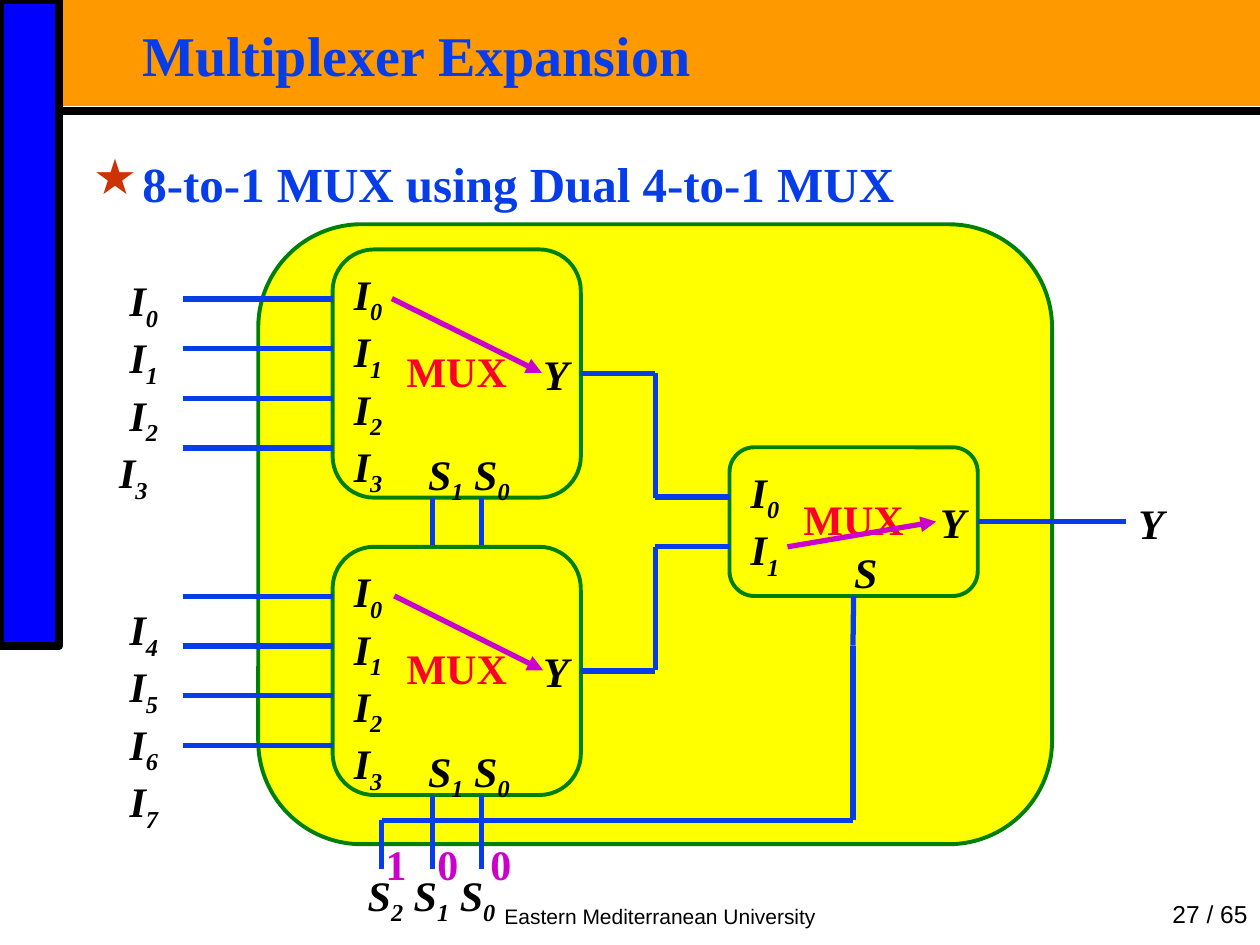
"""Builds the slide on expanding multiplexers from smaller ones."""
from dataclasses import dataclass

from lxml import etree
from pptx import Presentation
from pptx import util as u
from pptx.dml.color import RGBColor
from pptx.enum import shapes, text
from pptx.oxml import ns

COLORS = {
    "orange": "FF9900", "band": "0000FF", "black": "000000", "blue": "063DE8",
    "yellow": "FFFF00", "green": "008000", "red": "FC0128", "purple": "CC00CC",
    "star": "CC3300",
}
SERIF, SANS = "Times New Roman", "Arial"
MUX_WIDTH = 1.97
PITCH = MUX_WIDTH / 5
STUB = 1.5 * PITCH


@dataclass(frozen=True)
class Mux:
    """A multiplexer with its pins."""
    left: float
    top: float
    height: float
    inputs: int
    selects: str
    select_pins: tuple[float, ...]

    def pin_rows(self) -> list[float]:
        return [self.top + PITCH * (i + 1) for i in range(self.inputs)]


@dataclass(frozen=True)
class Label:
    """A caption and the box it sits in."""
    words: str
    left: float
    top: float
    width: float
    height: float


def rgb(name: str) -> RGBColor:
    return RGBColor.from_string(COLORS[name])


def write(frame, words: str, *, size=24, font=SERIF, color="black", bold=True,
          italic=False, align=text.PP_ALIGN.CENTER, anchor=text.MSO_ANCHOR.TOP,
          insets=(0, 0), wrap=True, spacing=None) -> None:
    """Fill a frame; an underscore makes the next character a subscript."""
    frame.word_wrap = wrap
    frame.vertical_anchor = anchor
    frame.margin_left = frame.margin_right = u.Inches(insets[0])
    frame.margin_top = frame.margin_bottom = u.Inches(insets[1])
    for number, row in enumerate(words.split("\n")):
        paragraph = frame.add_paragraph() if number else frame.paragraphs[0]
        paragraph.alignment = align
        if spacing:
            paragraph.line_spacing = spacing
        first, *others = row.split("_")
        pieces = [(first, False)]
        for other in others:
            pieces += [(other[:1], True), (other[1:], False)]
        for piece, lowered in pieces:
            if not piece:
                continue
            run = paragraph.add_run()
            run.text = piece
            run.font.size, run.font.name = u.Pt(size), font
            run.font.bold, run.font.italic = bold, italic
            run.font.color.rgb = rgb(color)
            if lowered:
                run.font._element.set("baseline", "-25000")


def add_label(slide, label: Label, **style):
    box = slide.shapes.add_textbox(*map(u.Inches, (
        label.left, label.top, label.width, label.height)))
    write(box.text_frame, label.words, **style)
    return box


def add_block(slide, kind, left: float, top: float, width: float, height: float,
              fill: str, outline: str | None = None, weight: float = 2.25):
    block = slide.shapes.add_shape(kind, *map(u.Inches, (left, top, width, height)))
    block.shadow.inherit = False
    block.fill.solid()
    block.fill.fore_color.rgb = rgb(fill)
    if outline:
        block.line.color.rgb = rgb(outline)
        block.line.width = u.Pt(weight)
    else:
        block.line.fill.background()
    return block


def add_wire(slide, x1: float, y1: float, x2: float, y2: float, color="blue",
             weight: float = 3, arrow=False):
    wire = slide.shapes.add_connector(
        shapes.MSO_CONNECTOR.STRAIGHT, *map(u.Inches, (x1, y1, x2, y2)))
    wire.line.color.rgb = rgb(color)
    wire.line.width = u.Pt(weight)
    if arrow:
        etree.SubElement(wire.line._get_or_add_ln(), ns.qn("a:tailEnd"), type="triangle")
    etree.SubElement(wire._element.spPr, ns.qn("a:effectLst"))
    return wire


def add_mux(slide, mux: Mux) -> None:
    """Draw a multiplexer, its pin names and its wire stubs."""
    right, bottom = mux.left + MUX_WIDTH, mux.top + mux.height
    middle = mux.top + mux.height / 2
    body = add_block(slide, shapes.MSO_SHAPE.ROUNDED_RECTANGLE, mux.left, mux.top,
                     MUX_WIDTH, mux.height, "yellow", "green")
    write(body.text_frame, "MUX", color="red", wrap=False, spacing=0.9,
          anchor=text.MSO_ANCHOR.MIDDLE)
    for x in mux.select_pins:
        select = add_wire(slide, x, bottom + PITCH, x, bottom)
        if len(mux.select_pins) == 1:
            select.end_connect(body, 2)
    for y in mux.pin_rows():
        add_wire(slide, mux.left - STUB, y, mux.left, y)
    output = add_wire(slide, right, middle, right + STUB, middle)
    output.begin_connect(body, 3)
    names = "\n".join(f"I_{i}" for i in range(mux.inputs))
    add_label(slide, Label(names, mux.left, mux.top + 0.15, PITCH, 0.455 * mux.inputs),
              italic=True, align=text.PP_ALIGN.RIGHT)
    add_label(slide, Label("Y", right - PITCH, middle - 0.2, PITCH, 0.4), italic=True)
    add_label(slide, Label(mux.selects, mux.left + STUB, bottom - PITCH, 0.98, 0.46),
              italic=True)


def add_frame(slide) -> None:
    """Draw the bands, title, heading and footer."""
    box = shapes.MSO_SHAPE.RECTANGLE
    add_block(slide, box, 0.47, 0, 9.53, 0.84, "orange")
    add_block(slide, box, 0, 0, 0.47, 5.13, "band", "black", 4.5)
    add_wire(slide, 0.47, 0.88, 10, 0.88, "black", 4.5)
    footer = dict(font=SANS, bold=False, insets=(0.1, 0.05), anchor=text.MSO_ANCHOR.BOTTOM)
    add_label(slide, Label("Eastern Mediterranean University", 3.43, 7.1, 3.62, 0.32),
              size=12, **footer)
    add_label(slide, Label("27 / 65", 8.69, 7.1, 1.31, 0.32), size=14,
              align=text.PP_ALIGN.RIGHT, **footer)
    heading = dict(color="blue", align=text.PP_ALIGN.LEFT, insets=(0.07, 0.03))
    add_label(slide, Label("Multiplexer Expansion", 1.06, 0.21, 8.66, 0.52),
              size=32, spacing=0.87, **heading)
    topic = add_label(slide, Label("8-to-1 MUX using Dual 4-to-1 MUX", 0.67, 1.19, 9.06, 0.52),
                      size=28, **heading)
    props = topic.text_frame.paragraphs[0]._p.get_or_add_pPr()
    props.set("marL", str(u.Inches(0.39)))
    props.set("indent", str(u.Inches(-0.39)))
    tint = etree.SubElement(props, ns.qn("a:buClr"))
    etree.SubElement(tint, ns.qn("a:srgbClr"), val=COLORS["star"])
    etree.SubElement(props, ns.qn("a:buChar"), char="★")


def main() -> None:
    deck = Presentation()
    deck.slide_width, deck.slide_height = u.Inches(10), u.Inches(7.5)
    slide = deck.slides.add_slide(deck.slide_layouts[6])
    add_frame(slide)

    add_block(slide, shapes.MSO_SHAPE.ROUNDED_RECTANGLE, 2.05, 1.78, 6.3, 4.92,
              "yellow", "green")
    select_pins = (3.43, 3.82)
    upper = Mux(2.64, 1.98, 1.97, 4, "S_1 S_0", select_pins)
    lower = Mux(2.64, 4.34, 1.97, 4, "S_1 S_0", select_pins)
    final = Mux(5.79, 3.55, 1.18, 2, "S", (6.77,))

    for y in upper.pin_rows() + lower.pin_rows():
        add_wire(slide, 1.45, y, 2.05, y)
    for x in (3.03, *select_pins):
        add_wire(slide, x, 6.9, x, 6.7)
    add_wire(slide, 8.35, 4.14, 8.94, 4.14)
    for names, top in (("I_0\nI_1\nI_2\nI_3 ", 2.18), ("I_4\nI_5\nI_6\nI_7", 4.79)):
        add_label(slide, Label(names, 0.86, top, PITCH, 1.82), italic=True,
                  align=text.PP_ALIGN.RIGHT)
    add_label(slide, Label("Y", 8.94, 3.95, PITCH, 0.4), italic=True)
    add_label(slide, Label("S_2 S_1 S_0", 2.44, 6.9, 1.97, 0.46), italic=True)

    for mux in (upper, lower, final):
        add_mux(slide, mux)

    for link in ((5.2, 2.96, 5.2, 3.95), (5.2, 4.34, 5.2, 5.32), (6.77, 5.13, 6.77, 6.51),
                 (3.03, 6.51, 6.77, 6.51), (3.03, 6.7, 3.03, 6.51)):
        add_wire(slide, *link)
    for digit, left in (("1", 3.06), ("0", 3.47), ("0", 3.89)):
        add_label(slide, Label(digit, left, 6.7, 0.17, 0.36), color="purple",
                  wrap=False, spacing=0.9)
    for route in ((3.11, 2.37, 4.3, 2.96), (3.13, 4.73, 4.31, 5.32), (6.25, 4.34, 7.43, 4.14)):
        add_wire(slide, *route, color="purple", arrow=True)

    deck.save("out.pptx")


if __name__ == "__main__":
    main()
